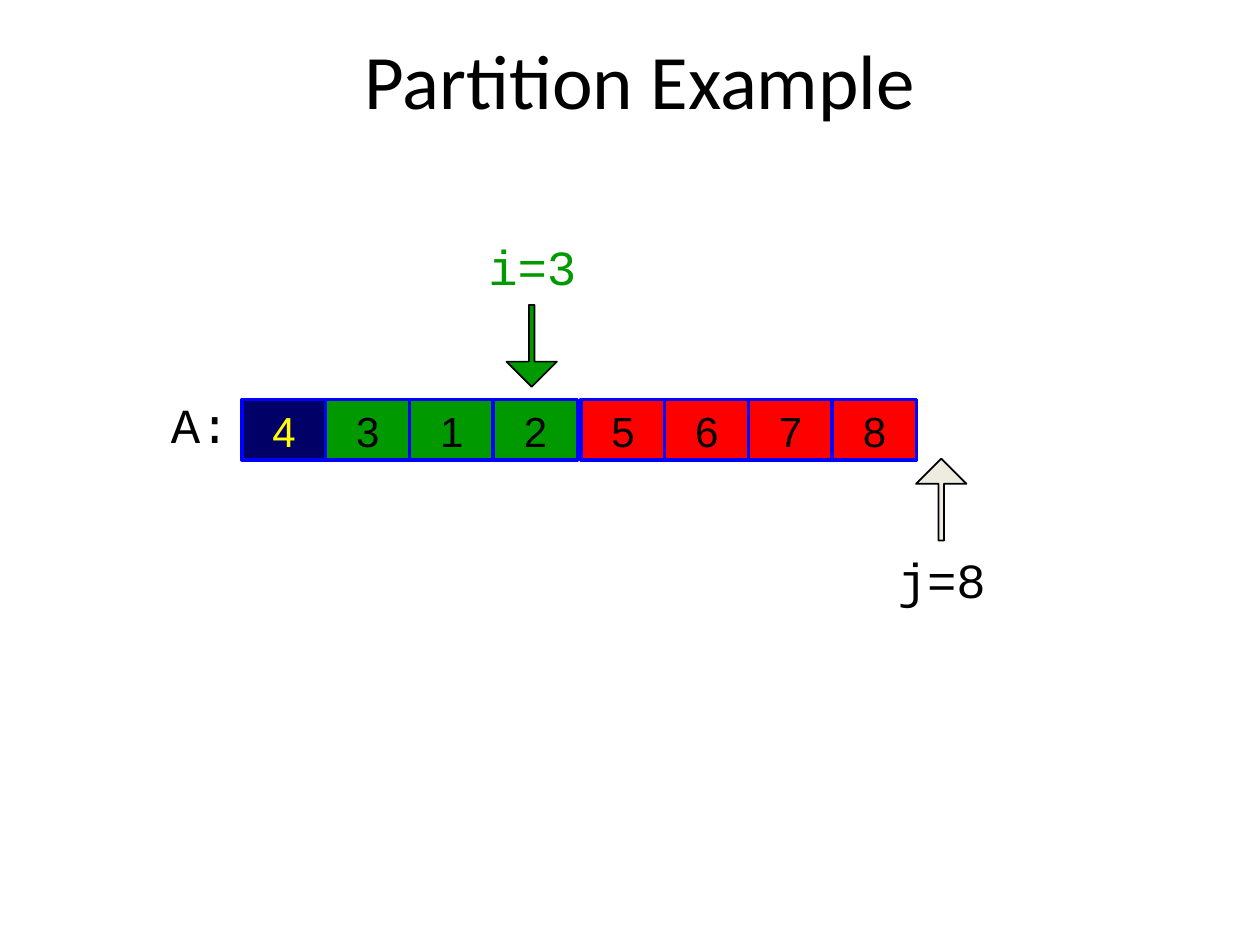
from pptx import Presentation
from pptx.dml.color import RGBColor
from pptx.enum.shapes import MSO_SHAPE
from pptx.enum.text import MSO_ANCHOR, PP_ALIGN
from pptx.util import Inches, Pt

TITLE = "Partition Example"
# group name, values: pivot, then smaller values, then larger values
GROUPS = [("pivot", "4"), ("small", "312"), ("large", "5678")]
# text, left, top, width, alignment, colour
LABELS = [
    ("A:", 0.17, 3.08, 1.75, PP_ALIGN.RIGHT, "text"),
    ("i=3", 2.85, 1.83, 2.75, PP_ALIGN.CENTER, "small"),
    ("j=8", 6.1, 4.31, 2.75, PP_ALIGN.CENTER, "text"),
]
# left, top, rotation, colour
ARROWS = [(4.02, 2.42, 0, "small"), (7.27, 3.64, 180, "j_arrow")]

THEME = {
    "color": {"text": "000000", "pivot": "000066", "pivot_text": "FFFF00",
              "small": "009900", "large": "FF0000", "border": "0000FF",
              "j_arrow": "EEECE1"},
    "title": {"name": "Calibri", "size": Pt(44)},
    "label": {"name": "Courier New", "size": Pt(28)},
    "cell": {"name": "Arial", "size": Pt(24)},
}
ROW_LEFT, ROW_TOP = 1.92, 3.17
CELL_STEP, CELL_W, CELL_H = 0.665, 0.67, 0.48
LARGE_GAP = 0.03


def color(name):
    return RGBColor.from_string(THEME["color"][name])


def write(shape, text, style, ink="text", align=PP_ALIGN.CENTER,
          anchor=MSO_ANCHOR.TOP, bottom=0.05):
    tf = shape.text_frame
    frame = {"word_wrap": True, "vertical_anchor": anchor,
             "margin_left": Inches(0.1), "margin_right": Inches(0.1),
             "margin_top": Inches(0.05), "margin_bottom": Inches(bottom)}
    for key, value in frame.items():
        setattr(tf, key, value)
    p = tf.paragraphs[0]
    p.alignment = align
    r = p.add_run()
    r.text = text
    for key, value in THEME[style].items():
        setattr(r.font, key, value)
    r.font.color.rgb = color(ink)


def add_filled(s, kind, box, fill, line, width):
    sp = s.shapes.add_shape(kind, *map(Inches, box))
    sp.shadow.inherit = False
    sp.fill.solid()
    sp.fill.fore_color.rgb = color(fill)
    sp.line.color.rgb = color(line)
    sp.line.width = Pt(width)
    return sp


def add_cells(s):
    left = ROW_LEFT
    for group, values in GROUPS:
        if group == "large":
            left += LARGE_GAP
        for value in values:
            sp = add_filled(s, MSO_SHAPE.RECTANGLE,
                            (left, ROW_TOP, CELL_W, CELL_H), group, "border", 2)
            ink = "pivot_text" if group == "pivot" else "text"
            write(sp, value, "cell", ink, bottom=0)
            left += CELL_STEP


def main():
    prs = Presentation()
    prs.slide_width, prs.slide_height = Inches(10), Inches(7.5)
    s = prs.slides.add_slide(prs.slide_layouts[5])

    title = s.shapes.title
    place = {"left": 0.83, "top": 0, "width": 8.5, "height": 1.25}
    for key, value in place.items():
        setattr(title, key, Inches(value))
    write(title, TITLE, "title", anchor=MSO_ANCHOR.MIDDLE)

    add_cells(s)
    for left, top, rotation, fill in ARROWS:
        arrow = add_filled(s, MSO_SHAPE.DOWN_ARROW, (left, top, 0.4, 0.65),
                           fill, "text", 1)
        arrow.adjustments[0] = 0.11
        arrow.adjustments[1] = 0.5
        arrow.rotation = rotation
    for text, left, top, width, align, ink in LABELS:
        box = s.shapes.add_textbox(*map(Inches, (left, top, width, 0.57)))
        write(box, text, "label", ink, align)

    prs.save("out.pptx")


if __name__ == "__main__":
    main()
